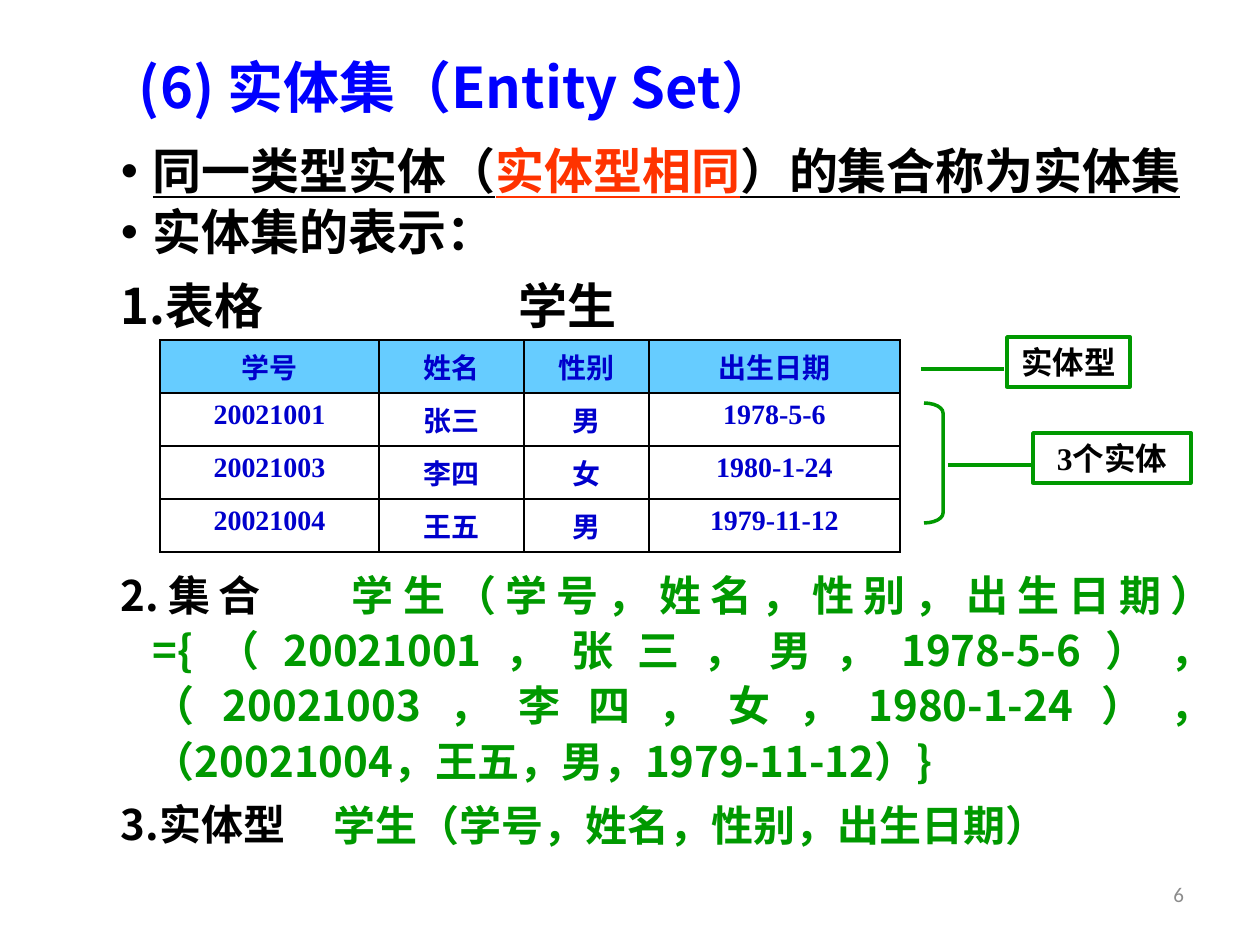
import pptx
import pptx.util
import pptx.dml.color
import pptx.enum.shapes
import pptx.enum.text
import pptx.oxml.ns
from lxml import etree

PX = 914400 / 126
HEX = {"blue": "0000FF", "navy": "0000CC", "sky": "66CCFF", "red": "FF3300",
       "green": "009900", "black": "000000", "gray": "8C8C8C"}
SANS, SERIF = "Noto Sans CJK SC", "Times New Roman"
ALIGN = pptx.enum.text.PP_ALIGN
ANCHOR = pptx.enum.text.MSO_ANCHOR
SHAPE = pptx.enum.shapes.MSO_SHAPE


def emu(px):
    return pptx.util.Emu(round(px * PX))


def rgb(name):
    return pptx.dml.color.RGBColor.from_string(HEX[name])


def sub(node, tag, **attrs):
    return etree.SubElement(node, pptx.oxml.ns.qn(tag), attrs)


def write(para, text, size=28, color="black", font=SANS, bold=True,
          under=False, align=None, lines=None, before=None, gap=0):
    """Add one run to a paragraph and set the paragraph's format."""
    if align is not None:
        para.alignment = align
    if lines is not None:
        para.line_spacing = lines
    if before is not None:
        para.space_before = pptx.util.Pt(before)
    run = para.add_run()
    run.text = text
    face = run.font
    face.size, face.bold, face.underline = pptx.util.Pt(size), bold, under
    face.color.rgb = rgb(color)
    face.name = font
    props = run._r.get_or_add_rPr()
    sub(props, "a:ea", typeface=SANS)
    if gap:
        props.set("spc", str(gap * 100))


def indent(para, left, first, bullet=None):
    props = para._p.get_or_add_pPr()
    props.set("marL", str(emu(left)))
    props.set("indent", str(emu(first)))
    if bullet:
        sub(props, "a:buFont", typeface="Arial")
        sub(props, "a:buChar", char=bullet)


class Deck:
    def __init__(self, wide, high):
        self.show = pptx.Presentation()
        self.show.slide_width, self.show.slide_height = emu(wide), emu(high)
        self.slide = self.show.slides.add_slide(self.show.slide_layouts[6])
        self.shapes = self.slide.shapes

    def box(self, x, y, w, h, inset=0, anchor=ANCHOR.TOP):
        frame = self.shapes.add_textbox(*map(emu, (x, y, w, h))).text_frame
        frame.word_wrap = True
        frame.vertical_anchor = anchor
        frame.margin_left = frame.margin_right = emu(inset)
        frame.margin_top = frame.margin_bottom = 0
        return frame

    def label(self, text, x, y, w, h, inset=0, anchor=ANCHOR.TOP, **fmt):
        para = self.box(x, y, w, h, inset, anchor).paragraphs[0]
        write(para, text, **fmt)
        return para

    def outline(self, kind, x, y, w, h):
        shape = self.shapes.add_shape(kind, *map(emu, (x, y, w, h)))
        shape.shadow.inherit = False
        shape.fill.background()
        shape.line.color.rgb = rgb("green")
        shape.line.width = pptx.util.Pt(2)
        return shape

    def tag(self, text, x, y, w, h):
        frame = self.outline(SHAPE.RECTANGLE, x, y, w, h).text_frame
        frame.word_wrap = False
        write(frame.paragraphs[0], text, size=18, font=SERIF, align=ALIGN.CENTER)

    def line(self, x, y, end):
        rule = self.shapes.add_connector(
            pptx.enum.shapes.MSO_CONNECTOR.STRAIGHT, *map(emu, (x, y, end, y)))
        rule.line.color.rgb = rgb("green")
        rule.line.width = pptx.util.Pt(2)
        sub(rule._element.spPr, "a:effectLst")

    def border(self, cell):
        props = cell._tc.get_or_add_tcPr()
        for spot, side in enumerate(("a:lnL", "a:lnR", "a:lnT", "a:lnB")):
            edge = etree.Element(pptx.oxml.ns.qn(side), w="12700")
            sub(sub(edge, "a:solidFill"), "a:srgbClr", val=HEX["black"])
            props.insert(spot, edge)

    def table(self, rows, x, y, widths, high):
        grid = self.shapes.add_table(
            len(rows), len(widths),
            *map(emu, (x, y, sum(widths), high * len(rows)))).table
        grid.first_row = grid.horz_banding = False
        for col, wide in zip(grid.columns, widths):
            col.width = emu(wide)
        for r, row in enumerate(rows):
            grid.rows[r].height = emu(high)
            for c, text in enumerate(row):
                cell = grid.cell(r, c)
                if r == 0:
                    cell.fill.solid()
                    cell.fill.fore_color.rgb = rgb("sky")
                else:
                    cell.fill.background()
                self.border(cell)
                write(cell.text_frame.paragraphs[0], text, size=16,
                      color="navy", font=SERIF, align=ALIGN.CENTER)


def main():
    deck = Deck(1260, 945)

    # Page number and title
    deck.label("6", 903, 861, 294, 66, inset=13, anchor=ANCHOR.MIDDLE, size=12,
               color="gray", font="Calibri", bold=False, align=ALIGN.RIGHT)
    deck.label("(6) 实体集（Entity Set）", 126, 35, 1018, 110, inset=13,
               anchor=ANCHOR.MIDDLE, size=32, color="blue", lines=0.9)

    # Definition and first way to show a set
    frame = deck.box(121, 135, 1092, 200)
    para = frame.paragraphs[0]
    indent(para, 32, -32, "•")
    for text, color in (("同一类型实体（", "black"), ("实体型相同", "red"),
                        ("）的集合称为实体集", "black")):
        write(para, text, color=color, under=True, lines=1.1)
    para = frame.add_paragraph()
    indent(para, 32, -32, "•")
    write(para, "实体集的表示：", lines=0.9, before=5)
    write(frame.add_paragraph(), "1.表格", lines=1.1, before=5)
    deck.label("学生", 519, 270, 130, 64, lines=1.1)

    # Student table
    deck.table([("学号", "姓名", "性别", "出生日期"),
                ("20021001", "张三", "男", "1978-5-6"),
                ("20021003", "李四", "女", "1980-1-24"),
                ("20021004", "王五", "男", "1979-11-12")],
               160, 340, (219, 145, 125, 251), 53)

    # Callouts beside the table
    deck.tag("实体型", 1007, 337, 123, 50)
    deck.line(921, 369, 1004)
    deck.outline(SHAPE.RIGHT_BRACKET, 924, 403, 19, 120).adjustments[0] = 0.52
    deck.tag("3个实体", 1033, 433, 158, 50)
    deck.line(948, 465, 1031)

    # Set and entity type, with a first-line gap for each label
    para = deck.label("2", 121, 564, 200, 60, size=24, lines=1.1)
    write(para, ".集合", size=24, gap=5)
    deck.label("3.实体型", 121, 794, 200, 60, size=24, lines=1.1)
    frame = deck.box(153, 564, 1060, 290)
    para = frame.paragraphs[0]
    indent(para, 0, 199)
    kind = "学生（学号，姓名，性别，出生日期）"
    write(para, kind + "={（20021001，张三，男，1978-5-6），"
          "（20021003，李四，女，1980-1-24），（20021004，王五，男，1979-11-12）}",
          size=24, color="green", align=ALIGN.JUSTIFY, lines=1.1)
    para = frame.add_paragraph()
    indent(para, 0, 181)
    write(para, kind, size=24, color="green", lines=1.1, before=5)

    deck.show.save("out.pptx")


if __name__ == "__main__":
    main()
